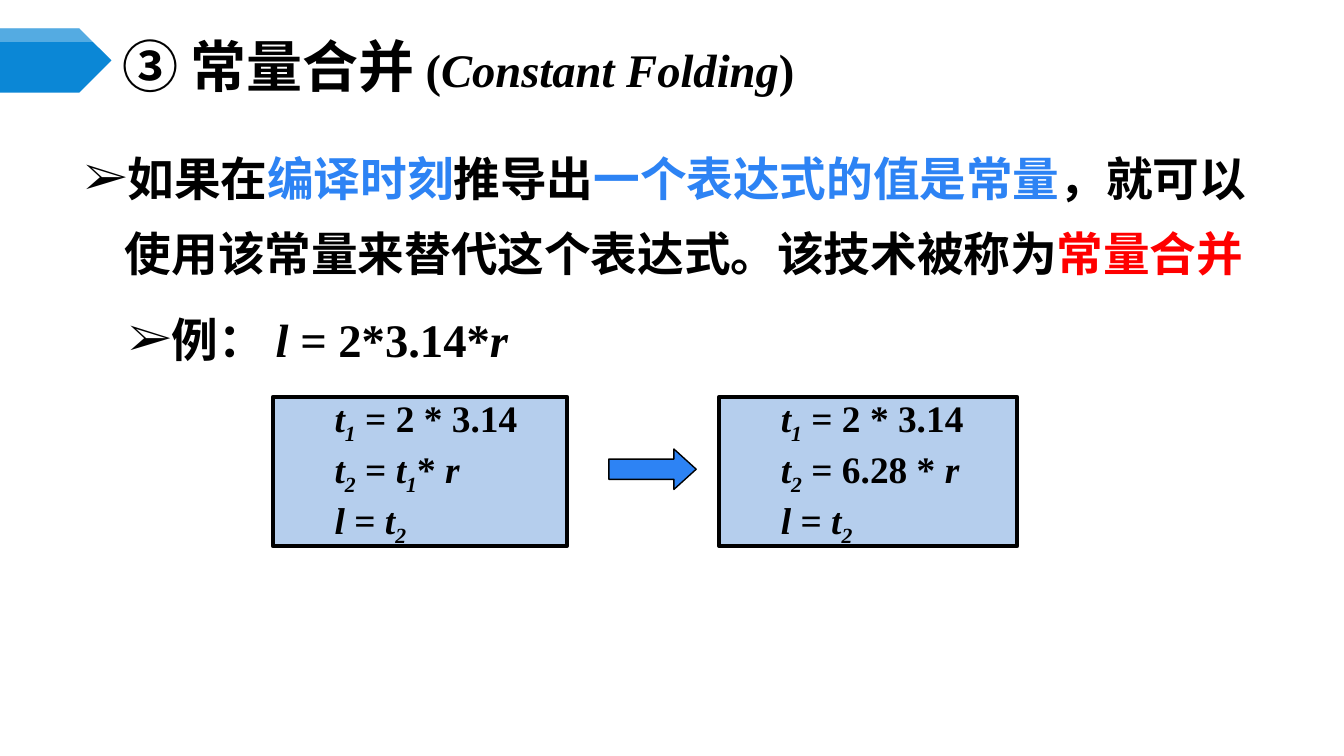
from lxml.etree import SubElement
from pptx import Presentation
from pptx.dml.color import RGBColor
from pptx.enum.shapes import MSO_SHAPE
from pptx.enum.text import MSO_ANCHOR, PP_ALIGN
from pptx.oxml.ns import qn
from pptx.util import Inches, Pt

SLIDE_WIDTH = Inches(10)
SLIDE_HEIGHT = SLIDE_WIDTH * 9 // 16
LATIN_FONT, CHINESE_FONT = "Times New Roman", "Noto Sans CJK SC"
BLACK, WHITE, RED, BLUE = "000000", "FFFFFF", "FF0000", "2D83F4"
BANNER_BLUE, CODE_FILL = "0B87D6", "B5CEED"
ITALIC = {"italic": True}
SUBSCRIPT = {"italic": True, "subscript": True}


def color(value):
    return RGBColor.from_string(value)


def across(percent):
    return round(SLIDE_WIDTH * percent / 100)


def down(percent):
    return round(SLIDE_HEIGHT * percent / 100)


def area(left, top, width, height):
    """Turn percentages of the slide into a position and a size."""
    return across(left), down(top), across(width), down(height)


def paint(shape, fill, line_width=0):
    shape.shadow.inherit = False
    shape.fill.solid()
    shape.fill.fore_color.rgb = color(fill)
    if line_width:
        shape.line.color.rgb = color(BLACK)
        shape.line.width = Pt(line_width)
    else:
        shape.line.fill.background()


def add_outline(slide, points, fill, opacity=100):
    corners = [(across(x), down(y)) for x, y in points]
    builder = slide.shapes.build_freeform(*corners[0])
    builder.add_line_segments(corners[1:], close=True)
    shape = builder.convert_to_shape()
    paint(shape, fill)
    if opacity < 100:
        fill_color = shape.fill._xPr.find(qn("a:solidFill"))[0]
        SubElement(fill_color, qn("a:alpha"), val=str(opacity * 1000))


def set_up_frame(shape, anchor, margin_vertical):
    frame = shape.text_frame
    frame.word_wrap = True
    frame.vertical_anchor = anchor
    frame.margin_left = frame.margin_right = Inches(0.08)
    frame.margin_top = frame.margin_bottom = Inches(margin_vertical)
    return frame


def add_text_box(slide, place, anchor):
    return set_up_frame(slide.shapes.add_textbox(*place), anchor, 0.04)


def set_indent(paragraph, left, first_line=0.0, bullet=None):
    properties = paragraph._p.get_or_add_pPr()
    properties.set("marL", str(Inches(left)))
    properties.set("indent", str(Inches(first_line)))
    if bullet:
        bullet_color = SubElement(properties, qn("a:buClr"))
        SubElement(bullet_color, qn("a:srgbClr"), val=BLACK)
        SubElement(properties, qn("a:buFont"), typeface=LATIN_FONT)
        SubElement(properties, qn("a:buChar"), char=bullet)


def add_runs(paragraph, pieces, size):
    """Each piece is a text and a dictionary of what is special about it."""
    paragraph.alignment = PP_ALIGN.LEFT
    for text, style in pieces:
        run = paragraph.add_run()
        run.text = text
        font = run.font
        font.name = style.get("font", LATIN_FONT)
        font.size = Pt(style.get("size", size))
        font.bold = True
        font.italic = style.get("italic", False)
        font.color.rgb = color(style.get("color", BLACK))
        SubElement(font._element, qn("a:ea"), typeface=CHINESE_FONT)
        if style.get("subscript"):
            font._element.set("baseline", "-25000")


def next_paragraph(frame, index):
    return frame.add_paragraph() if index else frame.paragraphs[0]


def add_bullets(slide, place, bullets):
    frame = add_text_box(slide, place, MSO_ANCHOR.TOP)
    for level, pieces in enumerate(bullets):
        paragraph = next_paragraph(frame, level)
        paragraph.level = level
        set_indent(paragraph, 0.3 + 0.33 * level, -0.3, "➢")
        paragraph.line_spacing = Pt(40)
        if level:
            paragraph.space_before = Pt(6.2)
        add_runs(paragraph, pieces, 25)


def add_code_box(slide, left, width, lines):
    box = slide.shapes.add_shape(MSO_SHAPE.RECTANGLE, *area(left, 52.5, width, 19.75))
    paint(box, CODE_FILL, 2)
    frame = set_up_frame(box, MSO_ANCHOR.MIDDLE, 0)
    for index, pieces in enumerate(lines):
        paragraph = next_paragraph(frame, index)
        paragraph.level = 1
        set_indent(paragraph, 0.38)
        add_runs(paragraph, pieces, 20)


def variable(name, number):
    return [(name, ITALIC), (number, SUBSCRIPT)]


def main():
    presentation = Presentation()
    presentation.slide_width, presentation.slide_height = SLIDE_WIDTH, SLIDE_HEIGHT
    slide = presentation.slides.add_slide(presentation.slide_layouts[6])

    # Banner with its lighter upper strip
    add_outline(slide, [(0, 3.75), (5.9, 3.75), (8.3, 8), (5.9, 12.25), (0, 12.25)],
                BANNER_BLUE)
    add_outline(slide, [(0, 3.75), (7.8, 3.75), (8.3, 4.65), (7.8, 5.55), (0, 5.55)],
                WHITE, opacity=30)

    # Title
    title = add_text_box(slide, area(8.3, 5.2, 86.7, 6.95), MSO_ANCHOR.MIDDLE)
    set_indent(title.paragraphs[0], 0.28, -0.28)
    add_runs(title.paragraphs[0], [
        ("③ 常量合并", {"font": CHINESE_FONT, "size": 30}),
        (" (", {}), ("Constant Folding", ITALIC), (")", {}),
    ], 25)

    # Definition and example
    add_bullets(slide, area(5.5, 16.7, 89, 62.75), [
        [("如果在", {}), ("编译时刻", {"color": BLUE}), ("推导出", {}),
         ("一个表达式的值是常量", {"color": BLUE}),
         ("，就可以使用该常量来替代这个表达式。该技术被称为", {}),
         ("常量合并", {"color": RED})],
        [("例： ", {}), ("l", ITALIC), (" = 2*3.14*", {}), ("r", ITALIC)],
    ])

    # Code before and after folding
    first_line = variable("t", "1") + [(" = 2 * 3.14", {})]
    last_line = [("l", ITALIC), (" = ", {})] + variable("t", "2")
    product = variable("t", "2") + [(" = ", {})] + variable("t", "1")
    product += [("* ", {}), ("r", ITALIC)]
    folded = variable("t", "2") + [(" = 6.28 * ", {}), ("r", ITALIC)]
    add_code_box(slide, 20.3, 21.9, [first_line, product, last_line])
    add_code_box(slide, 53.5, 22.2, [first_line, folded, last_line])

    # Arrow between the two versions
    arrow = slide.shapes.add_shape(MSO_SHAPE.RIGHT_ARROW, *area(45.3, 59.4, 6.5, 5.35))
    arrow.adjustments[0], arrow.adjustments[1] = 0.5, 0.55
    paint(arrow, BLUE, 0.75)

    presentation.save("out.pptx")


if __name__ == "__main__":
    main()
